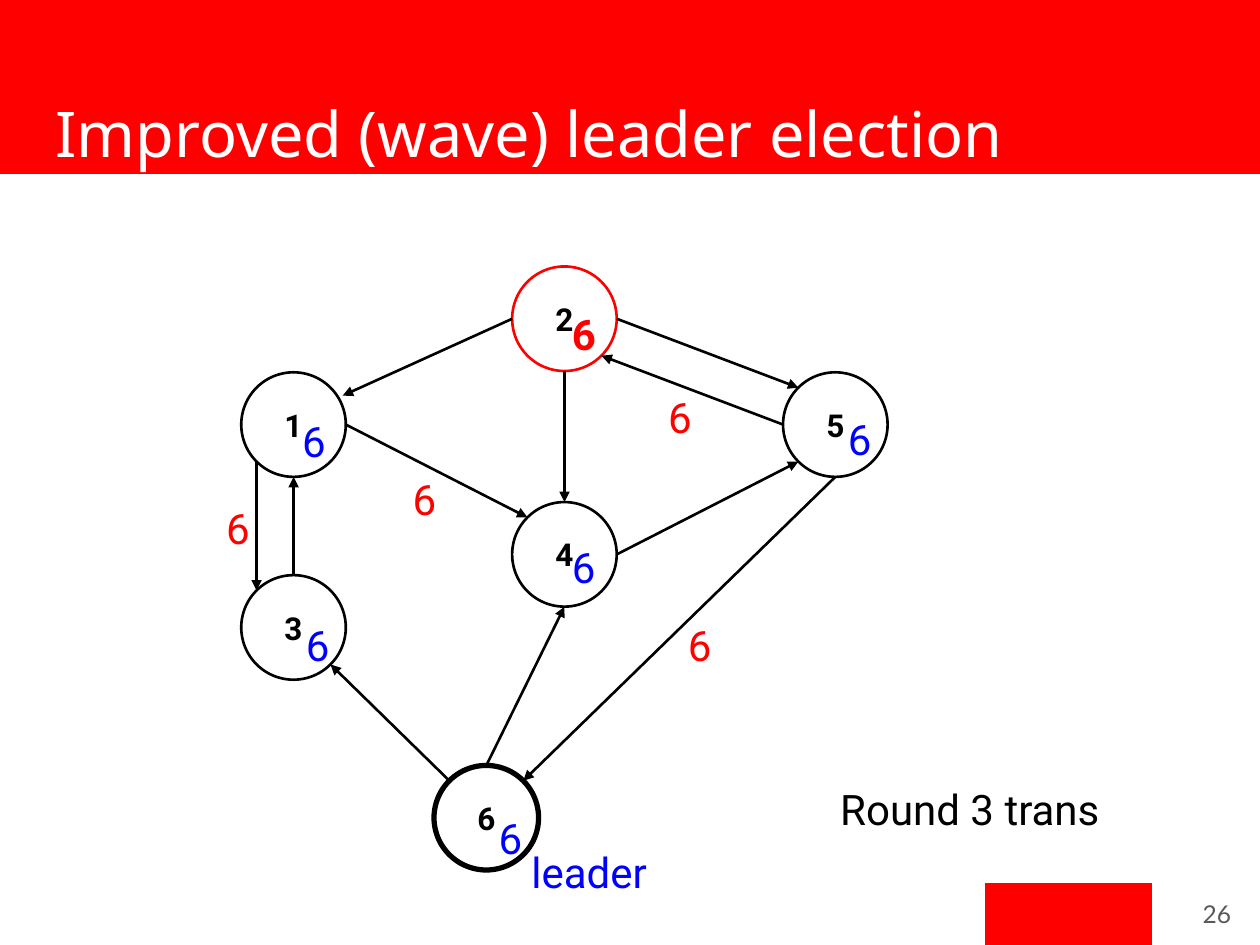
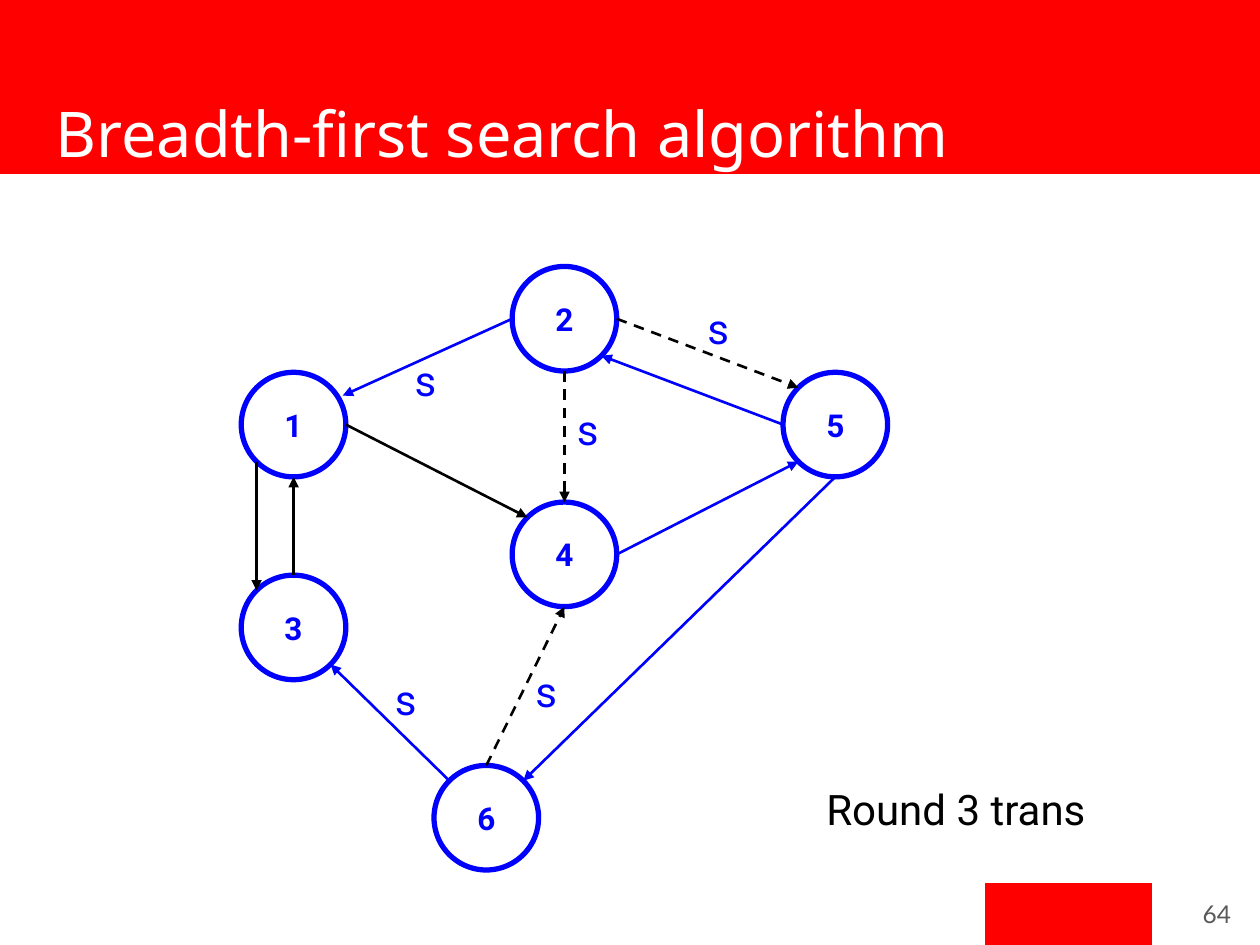
from math import cos, radians, sin

from lxml.etree import SubElement
from pptx import Presentation
from pptx.dml.color import RGBColor
from pptx.enum.dml import MSO_LINE
from pptx.enum.shapes import MSO_CONNECTOR, MSO_SHAPE
from pptx.enum.text import MSO_ANCHOR, MSO_AUTO_SIZE, PP_ALIGN
from pptx.oxml.ns import qn
from pptx.util import Inches, Pt

RED, BLUE, BLACK, WHITE, GREY = "FF0000", "0000FF", "000000", "FFFFFF", "595959"
COLS, ROWS = 100, 75  # slide grid
CELL = Inches(10) / COLS
DIAMETER = 8.3

GRAPH = (23.3, 25.3)  # origin of the graph on the slide grid
NODES = {1: (0, 8.4), 2: (21.5, 0), 3: (0, 24.5),
         4: (21.5, 18.7), 5: (43, 8.4), 6: (15.3, 39.6)}
# Connection sites of an ellipse, counter-clockwise from the top
(TOP, TOP_LEFT, LEFT, BOTTOM_LEFT,
 BOTTOM, BOTTOM_RIGHT, RIGHT, TOP_RIGHT) = range(8)
# (from, to): start and end as a site, or as an offset from the node's centre
EDGES = {
    (2, 1): (LEFT, (3.9, -2.3)),
    (2, 4): (BOTTOM, TOP),
    (2, 5): (RIGHT, TOP_LEFT),
    (5, 2): (LEFT, BOTTOM_RIGHT),
    (4, 5): (RIGHT, BOTTOM_LEFT),
    (5, 6): (BOTTOM, TOP_RIGHT),
    (6, 4): (TOP, BOTTOM),
    (6, 3): (TOP_LEFT, BOTTOM_RIGHT),
    (3, 1): (TOP, BOTTOM),
    (1, 3): (BOTTOM_LEFT, TOP_LEFT),
    (1, 4): (RIGHT, TOP_LEFT),
}


def rgb(color):
    return RGBColor.from_string(color)


def cells(*values):
    return [round(v * CELL) for v in values]


def write(sp, text, size, font, color, bold=False, align=PP_ALIGN.LEFT,
          anchor=MSO_ANCHOR.TOP):
    tf = sp.text_frame
    tf.text = text
    tf.word_wrap = True
    tf.auto_size = MSO_AUTO_SIZE.NONE
    tf.vertical_anchor = anchor
    tf.margin_left = tf.margin_right = tf.margin_top = tf.margin_bottom = Inches(0.1)
    p = tf.paragraphs[0]
    p.alignment = align
    p.font.size, p.font.name, p.font.bold = Pt(size), font, bold
    p.font.color.rgb = rgb(color)


def add_text(slide, box, text, *style, **options):
    write(slide.shapes.add_textbox(*cells(*box)), text, *style, **options)


def add_outlined(slide, kind, box, line, width, fill=None):
    sp = slide.shapes.add_shape(kind, *cells(*box))
    sp.shadow.inherit = False
    if fill:
        sp.fill.solid()
        sp.fill.fore_color.rgb = rgb(fill)
    else:
        sp.fill.background()
    sp.line.color.rgb = rgb(line)
    sp.line.width = Pt(width)
    return sp


def decorate_layout(slide):
    """Draw the title band and the footer block, then move them to the layout."""
    for box in ((0, 0, COLS, 13.8), (78.2, 70.1, 13.2, 4.9)):
        sp = add_outlined(slide, MSO_SHAPE.RECTANGLE, box, RED, 0.75, RED)
        slide.slide_layout.shapes.element.append(sp.element)


def add_frame(slide, title, number, caption, caption_left):
    sp = slide.shapes.title
    sp.left, sp.top, sp.width, sp.height = cells(3.4, 6.5, 93.2, 8.3)
    write(sp, title, 36, "Noto Sans", WHITE)
    add_text(slide, (92.7, 69.7, 6, 5.7), number, 14, "Lato", GREY,
             align=PP_ALIGN.RIGHT, anchor=MSO_ANCHOR.MIDDLE)
    add_text(slide, (caption_left, 61.2, 96.6 - caption_left, 5.7), caption,
             24, "Roboto", BLACK)


def centre(node, origin):
    return [o + c for o, c in zip(origin, NODES[node])]


def end_point(node, end, origin):
    x, y = centre(node, origin)
    if isinstance(end, tuple):
        return x + end[0], y + end[1]
    angle, radius = radians(90 + 45 * end), DIAMETER / 2
    return x + radius * cos(angle), y - radius * sin(angle)


def edge_points(edge, origin):
    return [end_point(n, e, origin) for n, e in zip(edge, EDGES[edge])]


def add_edge(slide, edge, circles, origin, color, dashed):
    start, end = edge_points(edge, origin)
    line = slide.shapes.add_connector(MSO_CONNECTOR.STRAIGHT, *cells(*start, *end))
    line.line.color.rgb = rgb(color)
    line.line.width = Pt(1.5)
    if dashed:
        line.line.dash_style = MSO_LINE.DASH
    SubElement(line.element.spPr.find(qn("a:ln")), qn("a:tailEnd"), type="triangle")
    SubElement(line.element.spPr, qn("a:effectLst"))
    # begin_connect knows only the four sites of a rectangle
    joints = line.element.find(".//" + qn("p:cNvCxnSpPr"))
    for tag, node, site in zip(("a:stCxn", "a:endCxn"), edge, EDGES[edge]):
        if isinstance(site, int):
            SubElement(joints, qn(tag), id=str(circles[node].shape_id), idx=str(site))


def add_graph(slide, origin, node_styles, text_color, blue=(), dashed=()):
    """node_styles maps each node to its line colour and width."""
    circles = {}
    for node, (line, width) in node_styles.items():
        x, y = centre(node, origin)
        box = (x - DIAMETER / 2, y - DIAMETER / 2, DIAMETER, DIAMETER)
        circles[node] = add_outlined(slide, MSO_SHAPE.OVAL, box, line, width)
        write(circles[node], str(node), 18, "Roboto", text_color, True,
              PP_ALIGN.CENTER, MSO_ANCHOR.MIDDLE)
    for edge in EDGES:
        add_edge(slide, edge, circles, origin, BLUE if edge in blue else BLACK,
                 edge in dashed)


def add_label(slide, origin, place, offset, text, color, bold=False, width=4.2):
    """Place text at an offset from a node's centre or an edge's midpoint."""
    if isinstance(place, tuple):
        (x1, y1), (x2, y2) = edge_points(place, origin)
        x, y = (x1 + x2) / 2, (y1 + y2) / 2
    else:
        x, y = centre(place, origin)
    add_text(slide, (x + offset[0], y + offset[1], width, 5.7), text,
             24, "Roboto", color, bold)


def leader_election(slide):
    add_frame(slide, "Improved (wave) leader election", "26", "Round 3 trans", 65.7)
    styles = dict.fromkeys(NODES, (BLACK, 1.5)) | {2: (RED, 1.5), 6: (BLACK, 3)}
    add_graph(slide, GRAPH, styles, BLACK)
    known = {6: (0, -1.4), 3: (0, -1.6), 1: (-0.3, -1.7),
             2: (-0.4, -1.8), 5: (0, -1.9), 4: (-0.4, -2)}
    for node, offset in known.items():
        changed = node == 2
        add_label(slide, GRAPH, node, offset, "6", RED if changed else BLUE, changed)
    sent = {(1, 4): (-2.9, -0.8), (1, 3): (-3.4, -2.9),
            (5, 2): (-2.9, -0.9), (5, 6): (-0.3, -1.7)}
    for edge, offset in sent.items():
        add_label(slide, GRAPH, edge, offset, "6", RED)
    add_label(slide, GRAPH, 6, (2.6, 1.3), "leader", BLUE, width=19.3)


def breadth_first_search(slide):
    add_frame(slide, "Breadth-first search algorithm", "64", "Round 3 trans", 64.6)
    tree = {(2, 1), (5, 2), (4, 5), (5, 6), (6, 3)}
    add_graph(slide, GRAPH, dict.fromkeys(NODES, (BLUE, 3)), BLUE, tree,
              dashed={(2, 4), (2, 5), (6, 4)})
    searches = {(2, 1): (-2, -1.2), (6, 3): (-0.6, -4.9), (2, 5): (-1, -5),
                (6, 4): (-0.2, -2.6), (2, 4): (0, -3.6)}
    for edge, offset in searches.items():
        add_label(slide, GRAPH, edge, offset, "s", BLUE)


def main():
    prs = Presentation()
    prs.slide_width, prs.slide_height = cells(COLS, ROWS)
    title_only = prs.slide_layouts[5]
    first, second = (prs.slides.add_slide(title_only) for _ in range(2))
    decorate_layout(first)
    leader_election(first)
    breadth_first_search(second)
    prs.save("out.pptx")


if __name__ == "__main__":
    main()
